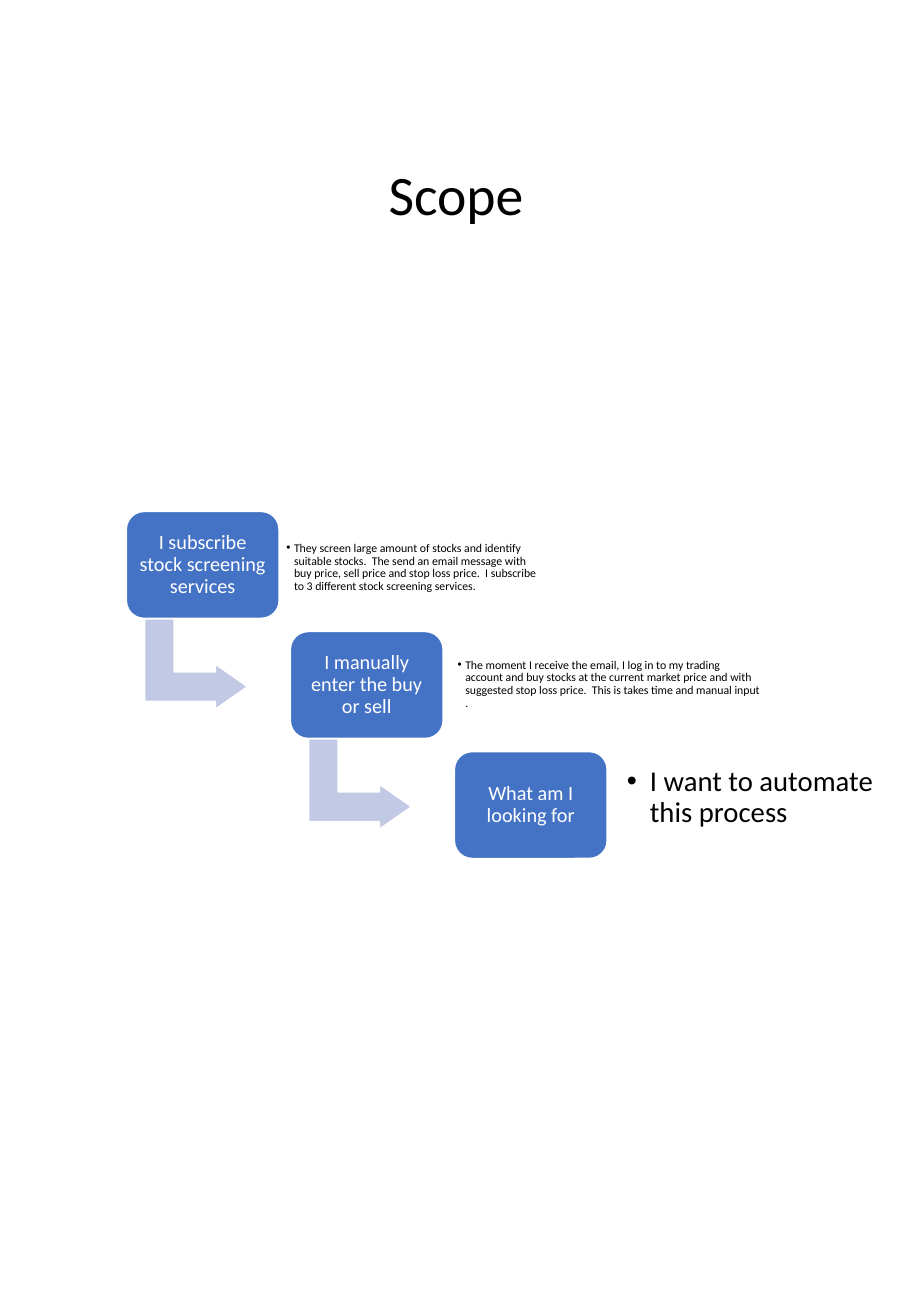
from lxml.etree import SubElement
from pptx import Presentation
from pptx.dml.color import RGBColor
from pptx.enum.shapes import MSO_SHAPE
from pptx.enum.text import MSO_ANCHOR, MSO_AUTO_SIZE, PP_ALIGN
from pptx.oxml.ns import qn
from pptx.util import Cm, Pt


def write_text(box, text, size, color="000000", align=PP_ALIGN.CENTER, inset=0.13, indent=0):
    """Fill a box with one paragraph; an indent in cm makes it a bullet."""
    frame = box.text_frame
    frame.word_wrap = True
    frame.auto_size = MSO_AUTO_SIZE.NONE
    frame.vertical_anchor = MSO_ANCHOR.MIDDLE
    frame.margin_left = frame.margin_right = Cm(inset)
    frame.margin_top = frame.margin_bottom = Cm(inset)
    para = frame.paragraphs[0]
    para.alignment = align
    para.line_spacing = 0.9
    span = para.add_run()
    span.text = text
    span.font.name = "Calibri"
    span.font.size = Pt(size)
    span.font.color.rgb = RGBColor.from_string(color)
    if indent:
        properties = para._p.get_or_add_pPr()
        properties.set("marL", str(Cm(indent)))
        properties.set("indent", str(-Cm(indent)))
        SubElement(properties, qn("a:buFont"), typeface="Arial")
        SubElement(properties, qn("a:buChar"), char="•")


def add_block(kind, left, top, width, height, fill, adjustments):
    """Add a filled shape with a white outline; lengths in cm."""
    block = page.shapes.add_shape(kind, Cm(left), Cm(top), Cm(width), Cm(height))
    block.shadow.inherit = False
    block.fill.solid()
    block.fill.fore_color.rgb = RGBColor.from_string(fill)
    block.line.color.rgb = RGBColor.from_string("FFFFFF")
    block.line.width = Pt(1)
    for number, value in enumerate(adjustments):
        block.adjustments[number] = value
    return block


deck = Presentation()
deck.slide_width, deck.slide_height = Cm(19.05), Cm(27.51)
page = deck.slides.add_slide(deck.slide_layouts[5])

# Title
title = page.shapes.title
title.left, title.top, title.width, title.height = Cm(1.32), Cm(1.47), Cm(16.43), Cm(5.31)
write_text(title, "Scope", 33)

# Steps: heading, note, note frame (left, top, width, height), size, inset, indent
steps = [
    ("I subscribe stock screening services",
     "They screen large amount of stocks and identify suitable stocks.  "
     "The send an email message with buy price, sell price and stop loss price.  "
     "I subscribe to 3 different stock screening services.",
     (5.89, 11, 5.56, 1.73), 7, 0.1, 0.16),
    ("I manually enter the buy or sell",
     "The moment I receive the email, I log in to my trading account and buy stocks "
     "at the current market price and with suggested stop loss price.  "
     "This is takes time and manual input .",
     (9.47, 13.41, 6.53, 1.8), 7, 0.1, 0.16),
    ("What am I looking for",
     "I want to automate this process",
     (12.88, 15.77, 5.94, 1.8), 17, 0.23, 0.48),
]
first_left, first_top = 2.64, 10.69
step_right, step_down = 3.43, 2.51

# Staircase of headings, arrows and notes
for index, (heading, note, frame, size, inset, indent) in enumerate(steps):
    left = first_left + index * step_right
    top = first_top + index * step_down

    # Arrow leading to the next step
    if index < len(steps) - 1:
        arrow = add_block(MSO_SHAPE.BENT_UP_ARROW, left + 0.51, top + 2.11, 1.9, 2.16,
                          "C1C9E4", [0.328, 0.25, 0.358])
        arrow.rotation = 90

    heading_box = add_block(MSO_SHAPE.ROUNDED_RECTANGLE, left, top, 3.2, 2.24, "4472C4", [0.167])
    write_text(heading_box, heading, 12, color="FFFFFF")

    note_box = page.shapes.add_textbox(*[Cm(length) for length in frame])
    write_text(note_box, note, size, align=PP_ALIGN.LEFT, inset=inset, indent=indent)

deck.save("out.pptx")
